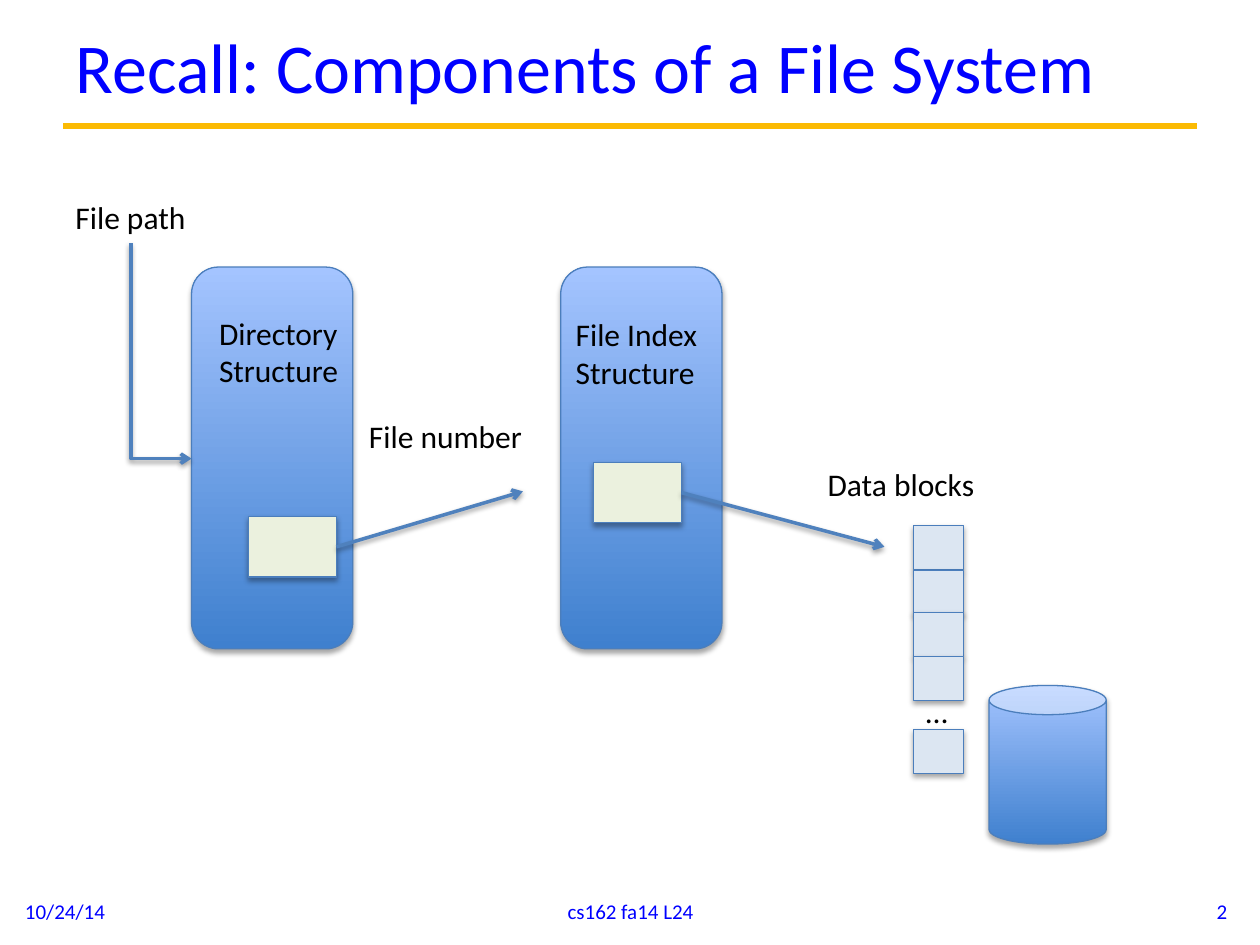
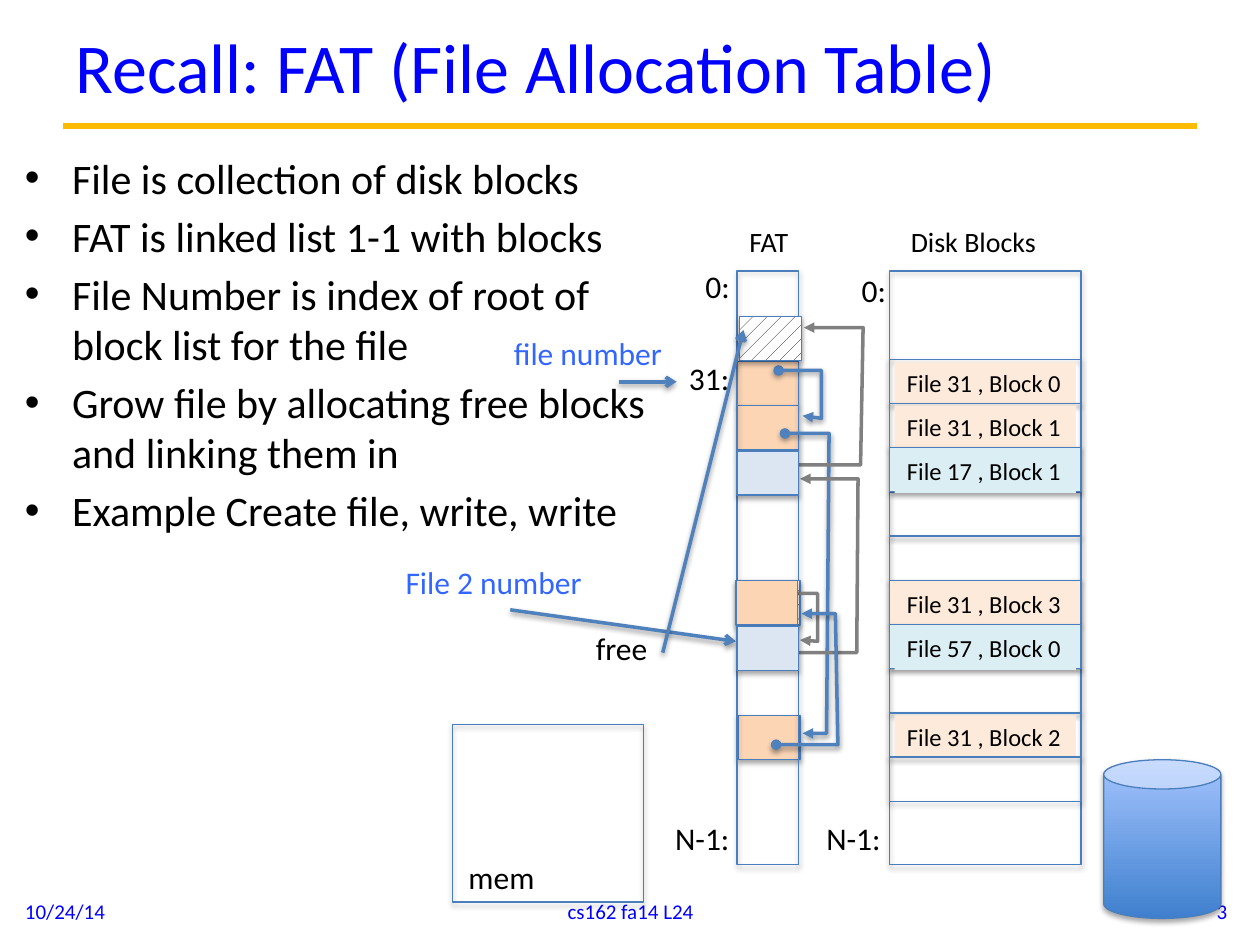
from dataclasses import dataclass

from lxml import etree
from pptx import Presentation
from pptx.dml.color import RGBColor
from pptx.enum.dml import MSO_PATTERN
from pptx.enum.shapes import MSO_CONNECTOR, MSO_SHAPE
from pptx.enum.text import MSO_ANCHOR, MSO_AUTO_SIZE, PP_ALIGN
from pptx.oxml.ns import qn
from pptx.util import Cm, Pt

RECTANGLE = MSO_SHAPE.RECTANGLE
ROUNDED = MSO_SHAPE.ROUNDED_RECTANGLE
CAN = MSO_SHAPE.CAN
STRAIGHT = MSO_CONNECTOR.STRAIGHT
ELBOW = MSO_CONNECTOR.ELBOW
LEFT, CENTER, RIGHT = PP_ALIGN.LEFT, PP_ALIGN.CENTER, PP_ALIGN.RIGHT
TOP, MIDDLE = MSO_ANCHOR.TOP, MSO_ANCHOR.MIDDLE
FIT_SHAPE, NO_FIT = MSO_AUTO_SIZE.SHAPE_TO_FIT_TEXT, MSO_AUTO_SIZE.NONE
DOTS = MSO_PATTERN.PERCENT_10
TITLE_ONLY = 5
RIGHT_SIDE = 3
GRADIENT = "gradient"
PATTERN = "pattern"


@dataclass(frozen=True)
class Theme:
    font: str = "Calibri"
    heading: str = "0000FF"
    rule: str = "FBBA03"
    black: str = "000000"
    white: str = "FFFFFF"
    accent: str = "3366FF"
    border: str = "4B7EBC"
    arrow: str = "4F81BD"
    grey: str = "808080"
    gradient: tuple = ("3F80CE", "A4C4FF")
    entry: str = "EBF1DE"
    pale_blue: str = "DCE6F2"
    peach: str = "FCD5B5"
    pale_peach: str = "FDEADA"
    aqua: str = "DBEEF4"
    title_size: float = 40
    body_size: float = 24
    label_size: float = 18
    heading_size: float = 16
    block_size: float = 14
    footer_size: float = 12
    thin: float = 0.75
    thick: float = 2
    rule_width: float = 3.75


THEME = Theme()


def inches(*values):
    return [Cm(value * 2.54) for value in values]


def rgb(value):
    return RGBColor.from_string(value)


def add_shadow(shape, opacity=35, distance=1.8):
    properties = shape.element.spPr
    effects = properties.find(qn("a:effectLst"))
    if effects is None:
        effects = etree.SubElement(properties, qn("a:effectLst"))
    if not opacity:
        return
    shadow = etree.SubElement(
        effects, qn("a:outerShdw"), blurRad=str(Pt(3.1)), dist=str(Pt(distance)),
        dir="5400000", rotWithShape="0")
    color = etree.SubElement(shadow, qn("a:srgbClr"), val=THEME.black)
    etree.SubElement(color, qn("a:alpha"), val=str(opacity * 1000))


def add_bullet(paragraph):
    properties = paragraph._p.get_or_add_pPr()
    indent = Cm(0.95)
    properties.set("marL", str(indent))
    properties.set("indent", str(-indent))
    etree.SubElement(properties, qn("a:buFont"), typeface="Arial")
    etree.SubElement(properties, qn("a:buChar"), char="•")


def write(frame, text, size=THEME.label_size, color=THEME.black, align=LEFT,
          anchor=TOP, wrap=False, bullets=False, gap=0):
    frame.word_wrap = wrap
    frame.auto_size = NO_FIT if wrap else FIT_SHAPE
    frame.vertical_anchor = anchor
    for index, line in enumerate(text.split("\n")):
        paragraph = frame.paragraphs[0] if index == 0 else frame.add_paragraph()
        if bullets:
            add_bullet(paragraph)
        paragraph.alignment = align
        paragraph.space_before = Pt(gap if index else 0)
        run = paragraph.add_run()
        run.text = line
        run.font.name = THEME.font
        run.font.size = Pt(size)
        run.font.color.rgb = rgb(color)


class Deck:
    def __init__(self):
        self.presentation = Presentation()
        self.presentation.slide_width, self.presentation.slide_height = inches(10, 7.5)
        self.slide = None

    def start_slide(self, title, number):
        layout = self.presentation.slide_layouts[TITLE_ONLY]
        self.slide = self.presentation.slides.add_slide(layout)
        heading = self.slide.shapes.title
        heading.left, heading.top, heading.width, heading.height = inches(0.5, 0.04, 9, 0.96)
        write(heading.text_frame, title, size=THEME.title_size, color=THEME.heading,
              anchor=MIDDLE, wrap=True)
        self.line((0.5, 1), (9.5, 1), color=THEME.rule, width=THEME.rule_width,
                  tail=None, shadow=0)
        footers = ((0.1, 2.33, "10/24/14", LEFT), (3.42, 3.17, "cs162 fa14 L24", CENTER),
                   (7.51, 2.33, str(number), RIGHT))
        for left, width, text, align in footers:
            self.text(text, (left, 7.03, width, 0.4), size=THEME.footer_size,
                      color=THEME.heading, align=align, anchor=MIDDLE, wrap=True)

    def text(self, text, box, fill=None, **style):
        shape = self.slide.shapes.add_textbox(*inches(*box))
        if fill:
            shape.fill.solid()
            shape.fill.fore_color.rgb = rgb(fill)
        write(shape.text_frame, text, **style)

    def shape(self, kind, box, fill=None):
        shape = self.slide.shapes.add_shape(kind, *inches(*box))
        if fill is None:
            shape.fill.background()
        elif fill == GRADIENT:
            shape.fill.gradient()
            shape.fill.gradient_angle = 90
            for stop, color in zip(shape.fill.gradient_stops, THEME.gradient):
                stop.color.rgb = rgb(color)
        elif fill == PATTERN:
            shape.fill.patterned()
            shape.fill.pattern = DOTS
            shape.fill.fore_color.rgb = rgb(THEME.black)
            shape.fill.back_color.rgb = rgb(THEME.white)
        else:
            shape.fill.solid()
            shape.fill.fore_color.rgb = rgb(fill)
        shape.line.color.rgb = rgb(THEME.border)
        shape.line.width = Pt(THEME.thin)
        shape.shadow.inherit = False
        add_shadow(shape)
        return shape

    def stroke(self, shape, color=THEME.arrow, width=THEME.thick, head=None,
               tail="arrow", shadow=38):
        shape.line.color.rgb = rgb(color)
        shape.line.width = Pt(width)
        outline = shape.element.spPr.find(qn("a:ln"))
        for tag, kind in (("a:headEnd", head), ("a:tailEnd", tail)):
            if kind:
                etree.SubElement(outline, qn(tag), type=kind)
        add_shadow(shape, shadow, 1.6)

    def line(self, start, end, source=None, **style):
        connector = self.slide.shapes.add_connector(STRAIGHT, *inches(*start, *end))
        if source is not None:
            connector.begin_connect(source, RIGHT_SIDE)
        self.stroke(connector, **style)

    def down_then_right(self, start, end):
        (left, top), (right, bottom) = start, end
        length, depth = bottom - top, right - left
        middle_x, middle_y = (left + right) / 2, (top + bottom) / 2
        connector = self.slide.shapes.add_connector(ELBOW, *inches(
            middle_x - length / 2, middle_y - depth / 2,
            middle_x + length / 2, middle_y + depth / 2))
        properties = connector.element.spPr
        properties.find(qn("a:prstGeom")).set("prst", "bentConnector2")
        transform = properties.find(qn("a:xfrm"))
        transform.set("rot", "16200000")
        transform.set("flipH", "1")
        self.stroke(connector)

    def link(self, points, **style):
        start, *rest = [tuple(inches(*point)) for point in points]
        builder = self.slide.shapes.build_freeform(*start, scale=1.0)
        builder.add_line_segments(rest, close=False)
        shape = builder.convert_to_shape()
        shape.fill.background()
        shape.shadow.inherit = False
        self.stroke(shape, tail="triangle", **style)


def build_components(deck):
    deck.start_slide("Recall: Components of a File System", 2)
    for left in (1.52, 4.45):
        deck.shape(ROUNDED, (left, 2.12, 1.28, 3.03), GRADIENT)
    directory_entry = deck.shape(RECTANGLE, (1.97, 4.1, 0.7, 0.48), THEME.entry)
    index_entry = deck.shape(RECTANGLE, (4.71, 3.67, 0.7, 0.48), THEME.entry)
    deck.down_then_right((1.04, 1.93), (1.52, 3.64))
    deck.line((2.68, 4.34), (4.15, 3.9), source=directory_entry)
    deck.line((5.41, 3.91), (7.02, 4.34), source=index_entry)
    deck.shape(CAN, (7.85, 5.44, 0.93, 1.26), GRADIENT)
    for top in (4.17, 4.53, 4.86, 5.21, 5.79):
        deck.shape(RECTANGLE, (7.25, top, 0.4, 0.35), THEME.pale_blue)
    labels = (
        ("File path", (0.5, 1.52, 1.09, 0.4)),
        ("Directory\nStructure", (1.64, 2.44, 1.16, 0.71)),
        ("File Index\nStructure", (4.47, 2.45, 1.18, 0.71)),
        ("File number", (2.83, 3.26, 1.43, 0.4)),
        ("Data blocks", (6.47, 3.64, 1.38, 0.4)),
        ("…", (7.25, 5.44, 0.38, 0.4)),
    )
    for text, box in labels:
        deck.text(text, box)


def build_disk_blocks(deck):
    peach, aqua = THEME.pale_peach, THEME.aqua
    rows = (
        (2, None, peach, "File 31 , Block 0"),
        (3, None, peach, "File 31 , Block 1"),
        (5, None, None, None),
        (6, None, None, None),
        (9, None, None, None),
        (10, None, peach, "File 31 , Block 2"),
        (11, None, None, None),
        (7, peach, peach, "File 31 , Block 3"),
        (4, aqua, aqua, "File 17 , Block 1"),
        (8, aqua, aqua, "File 57 , Block 0"),
    )
    deck.shape(RECTANGLE, (7.06, 2.15, 1.52, 4.71))
    for row, fill, label_fill, label in rows:
        top = 2.15 + row * 4.21 / 12
        deck.shape(RECTANGLE, (7.06, top, 1.52, 0.35), fill)
        if label:
            deck.text(label, (7.1, top + 0.02, 1.44, 0.34), fill=label_fill,
                      size=THEME.block_size)


def build_fat_column(deck):
    def cells(fill, *corners):
        for left, top in corners:
            deck.shape(RECTANGLE, (left, top, 0.49, 0.35), fill)

    cells(THEME.peach, (5.85, 2.87), (5.85, 3.22), (5.86, 5.68))
    deck.shape(RECTANGLE, (5.85, 2.15, 0.49, 4.71))
    deck.link(((6.18, 2.94), (6.52, 2.94), (6.52, 3.32), (6.37, 3.3)), head="oval")
    deck.link(((6.23, 3.44), (6.58, 3.44), (6.56, 5.82), (6.37, 5.82)), head="oval")
    cells(PATTERN, (5.87, 2.51), (5.86, 4.61))
    free_links = (
        ("oval", ((6.16, 4.71), (6.49, 4.71), (6.49, 5.09), (6.35, 5.08))),
        ("diamond", ((6.2, 5.18), (6.8, 5.18), (6.81, 3.8), (6.35, 3.8))),
        ("diamond", ((6.23, 3.69), (6.83, 3.69), (6.85, 2.6), (6.38, 2.6))),
    )
    for head, points in free_links:
        deck.link(points, head=head, color=THEME.grey, shadow=0)
    cells(THEME.peach, (5.84, 4.61))
    deck.link(((6.16, 5.91), (6.65, 5.91), (6.63, 4.87), (6.36, 4.87)), head="oval")
    for start, end in (((4.91, 3.03), (5.37, 3.03)), ((4.05, 4.84), (5.84, 5.09)),
                       ((5.26, 5.18), (5.9, 2.62))):
        deck.line(start, end)
    cells(THEME.pale_blue, (5.85, 4.97), (5.85, 3.58))


def build_file_allocation(deck):
    deck.start_slide("Recall: FAT (File Allocation Table)", 3)
    points = (
        "File is collection of disk blocks",
        "FAT is linked list 1-1 with blocks",
        "File Number is index of root of block list for the file",
        "Grow file by allocating free blocks and linking them in",
        "Example Create file, write, write",
    )
    deck.text("\n".join(points), (0.1, 1.16, 5.16, 5.46), size=THEME.body_size,
              wrap=True, bullets=True, gap=4.3)
    build_disk_blocks(deck)
    build_fat_column(deck)
    deck.shape(RECTANGLE, (3.59, 5.75, 1.52, 1.41))
    deck.shape(CAN, (8.76, 6.03, 0.93, 1.26), GRADIENT)
    for text, left, width in (("FAT", 5.85, 0.54), ("Disk Blocks", 7.13, 1.21)):
        deck.text(text, (left, 1.73, width, 0.37), size=THEME.heading_size)
    labels = (
        ("0:", 5.5, 2.07, 0.4, THEME.black),
        ("0:", 6.74, 2.1, 0.4, THEME.black),
        ("31:", 5.37, 2.8, 0.53, THEME.black),
        ("N-1:", 5.26, 6.45, 0.64, THEME.black),
        ("N-1:", 6.46, 6.45, 0.64, THEME.black),
        ("mem", 3.62, 6.76, 0.73, THEME.black),
        ("free", 4.63, 4.94, 0.62, THEME.black),
        ("file number", 3.98, 2.6, 1.39, THEME.accent),
        ("File 2 number", 3.12, 4.42, 1.61, THEME.accent),
    )
    for text, left, top, width, color in labels:
        deck.text(text, (left, top, width, 0.4), color=color)


def main():
    deck = Deck()
    build_components(deck)
    build_file_allocation(deck)
    deck.presentation.save("out.pptx")


if __name__ == "__main__":
    main()
